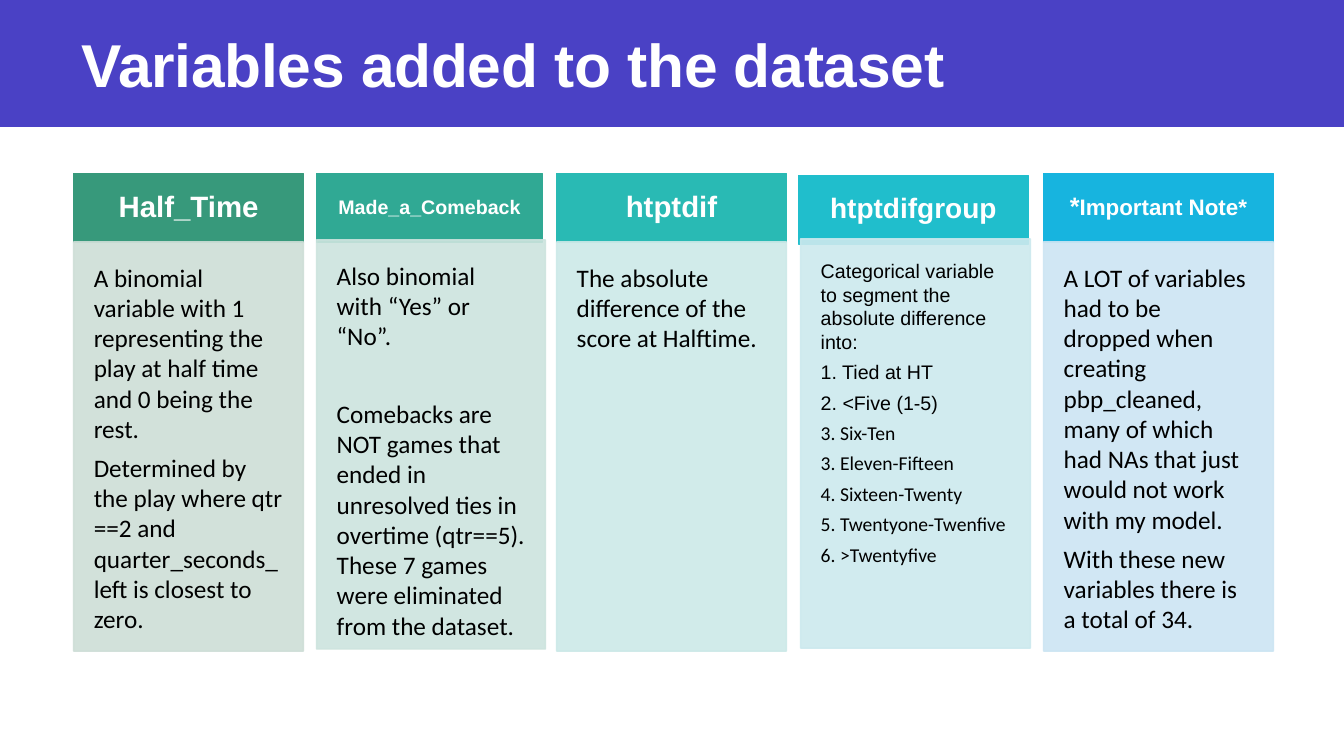
from dataclasses import dataclass

from pptx import Presentation
from pptx.dml.color import RGBColor
from pptx.enum.shapes import MSO_SHAPE
from pptx.enum.text import MSO_ANCHOR, PP_ALIGN
from pptx.oxml.ns import qn
from pptx.util import Inches, Pt

WHITE = RGBColor(0xFF, 0xFF, 0xFF)
BLACK = RGBColor(0x00, 0x00, 0x00)
INDIGO = RGBColor(0x4A, 0x41, 0xC5)
GREEN = RGBColor(0x37, 0x99, 0x7B)
PALE_GREEN = RGBColor(0xCE, 0xDE, 0xD7)
JADE = RGBColor(0x30, 0xA9, 0x94)
PALE_JADE = RGBColor(0xCD, 0xE4, 0xDE)
TEAL = RGBColor(0x29, 0xBA, 0xB4)
PALE_TEAL = RGBColor(0xCC, 0xE9, 0xE8)
CYAN = RGBColor(0x20, 0xBE, 0xCC)
PALE_CYAN = RGBColor(0xCC, 0xE9, 0xEE)
BLUE = RGBColor(0x17, 0xB4, 0xDF)
PALE_BLUE = RGBColor(0xCC, 0xE5, 0xF3)

HEADING_HEIGHT, DETAIL_HEIGHT = 0.68, 4.06
SPACE_AFTER_RATIO = 0.35


@dataclass
class Variable:
    """One column: a heading block over a detail block."""
    heading: list
    heading_box: tuple
    heading_color: RGBColor
    detail: list
    detail_box: tuple
    detail_color: RGBColor
    detail_size: int = 18
    arial_count: int = 0
    first_gap: float = SPACE_AFTER_RATIO * 18


VARIABLES = [
    Variable([("Half_Time", 21)], (0.73, 1.72, 2.28), GREEN,
             ["A binomial variable with 1 representing the play at half time "
              "and 0 being the rest.",
              "Determined by the play where qtr ==2 and quarter_seconds_left "
              "is closest to zero."],
             (0.73, 2.4, 2.28), PALE_GREEN),
    Variable([("Made_a_Comeback", 14)], (3.14, 1.72, 2.24), JADE,
             ["Also binomial with “Yes” or “No”.",
              "Comebacks are NOT games that ended in unresolved ties in "
              "overtime (qtr==5). These 7 games were eliminated from the "
              "dataset."],
             (3.14, 2.38, 2.27), PALE_JADE, first_gap=34),
    Variable([("htptdif", 21)], (5.52, 1.72, 2.28), TEAL,
             ["The absolute difference of the score at Halftime."],
             (5.52, 2.4, 2.28), PALE_TEAL),
    Variable([("htptdifgroup", 20)], (7.92, 1.74, 2.28), CYAN,
             ["Categorical variable to segment the absolute difference into:",
              "1. Tied at HT", "2. <Five (1-5)", "3. Six-Ten",
              "3. Eleven-Fifteen", "4. Sixteen-Twenty",
              "5. Twentyone-Twenfive", "6. >Twentyfive"],
             (7.94, 2.37, 2.28), PALE_CYAN, detail_size=14, arial_count=3,
             first_gap=SPACE_AFTER_RATIO * 14),
    Variable([("*", 18), ("Important Note*", 16)], (10.35, 1.72, 2.28), BLUE,
             ["A LOT of variables had to be dropped when creating "
              "pbp_cleaned, many of which had NAs that just would not work "
              "with my model.",
              "With these new variables there is a total of 34."],
             (10.35, 2.4, 2.28), PALE_BLUE),
]


def set_font(font, name, color, bold=False):
    """Apply a typeface, colour and weight."""
    font.name = name
    font.color.rgb = color
    font.bold = bold


def add_block(slide, left, top, width, height, color, inset, anchor):
    """Add a filled rectangle ready to hold wrapped text."""
    block = slide.shapes.add_shape(MSO_SHAPE.RECTANGLE, Inches(left),
                                   Inches(top), Inches(width), Inches(height))
    block.shadow.inherit = False
    block.fill.solid()
    block.fill.fore_color.rgb = color
    block.line.color.rgb = color
    block.line.width = Pt(1)
    frame = block.text_frame
    frame.word_wrap = True
    frame.vertical_anchor = anchor
    frame.margin_left = frame.margin_right = Inches(inset)
    frame.margin_top = frame.margin_bottom = Inches(inset)
    return block


def make_translucent(block, percent):
    """Set the opacity of a block's fill and line."""
    for color in block._element.spPr.iter(qn("a:srgbClr")):
        alpha = color.makeelement(qn("a:alpha"), {"val": str(percent * 1000)})
        color.append(alpha)


def add_title(slide, text):
    """Add the title band and its text."""
    band = add_block(slide, 0, 0, 13.33, 1.26, INDIGO, 0.1, MSO_ANCHOR.MIDDLE)
    band.line.fill.background()
    title = slide.shapes.add_textbox(Inches(0.71), Inches(0.21),
                                     Inches(11.35), Inches(0.83))
    title.text_frame.word_wrap = True
    title.text_frame.vertical_anchor = MSO_ANCHOR.MIDDLE
    paragraph = title.text_frame.paragraphs[0]
    run = paragraph.add_run()
    run.text = text
    paragraph.font.size = Pt(43.2)
    set_font(paragraph.font, "Arial", WHITE, bold=True)
    run._r.get_or_add_rPr().set("spc", "-20")


def add_heading(slide, variable):
    """Add a column's heading block."""
    heading = add_block(slide, *variable.heading_box, HEADING_HEIGHT,
                        variable.heading_color, 0.18, MSO_ANCHOR.MIDDLE)
    paragraph = heading.text_frame.paragraphs[0]
    paragraph.alignment = PP_ALIGN.CENTER
    paragraph.line_spacing = 0.9
    set_font(paragraph.font, "Arial", WHITE, bold=True)
    for text, size in variable.heading:
        run = paragraph.add_run()
        run.text = text
        run.font.size = Pt(size)


def add_detail(slide, variable):
    """Add a column's translucent detail block."""
    detail = add_block(slide, *variable.detail_box, DETAIL_HEIGHT,
                       variable.detail_color, 0.2, MSO_ANCHOR.TOP)
    make_translucent(detail, 90)
    frame = detail.text_frame
    for index, text in enumerate(variable.detail):
        paragraph = frame.add_paragraph() if index else frame.paragraphs[0]
        paragraph.text = text
        paragraph.alignment = PP_ALIGN.LEFT
        gap = SPACE_AFTER_RATIO * variable.detail_size
        paragraph.space_after = Pt(gap if index else variable.first_gap)
        paragraph.font.size = Pt(variable.detail_size)
        typeface = "Arial" if index < variable.arial_count else "Calibri"
        set_font(paragraph.font, typeface, BLACK)


def main():
    """Build and save the slide."""
    presentation = Presentation()
    presentation.slide_width = Inches(13.33)
    presentation.slide_height = Inches(7.5)
    slide = presentation.slides.add_slide(presentation.slide_layouts[6])
    add_title(slide, "Variables added to the dataset")
    for variable in VARIABLES:
        add_heading(slide, variable)
        add_detail(slide, variable)
    presentation.save("out.pptx")


if __name__ == "__main__":
    main()
